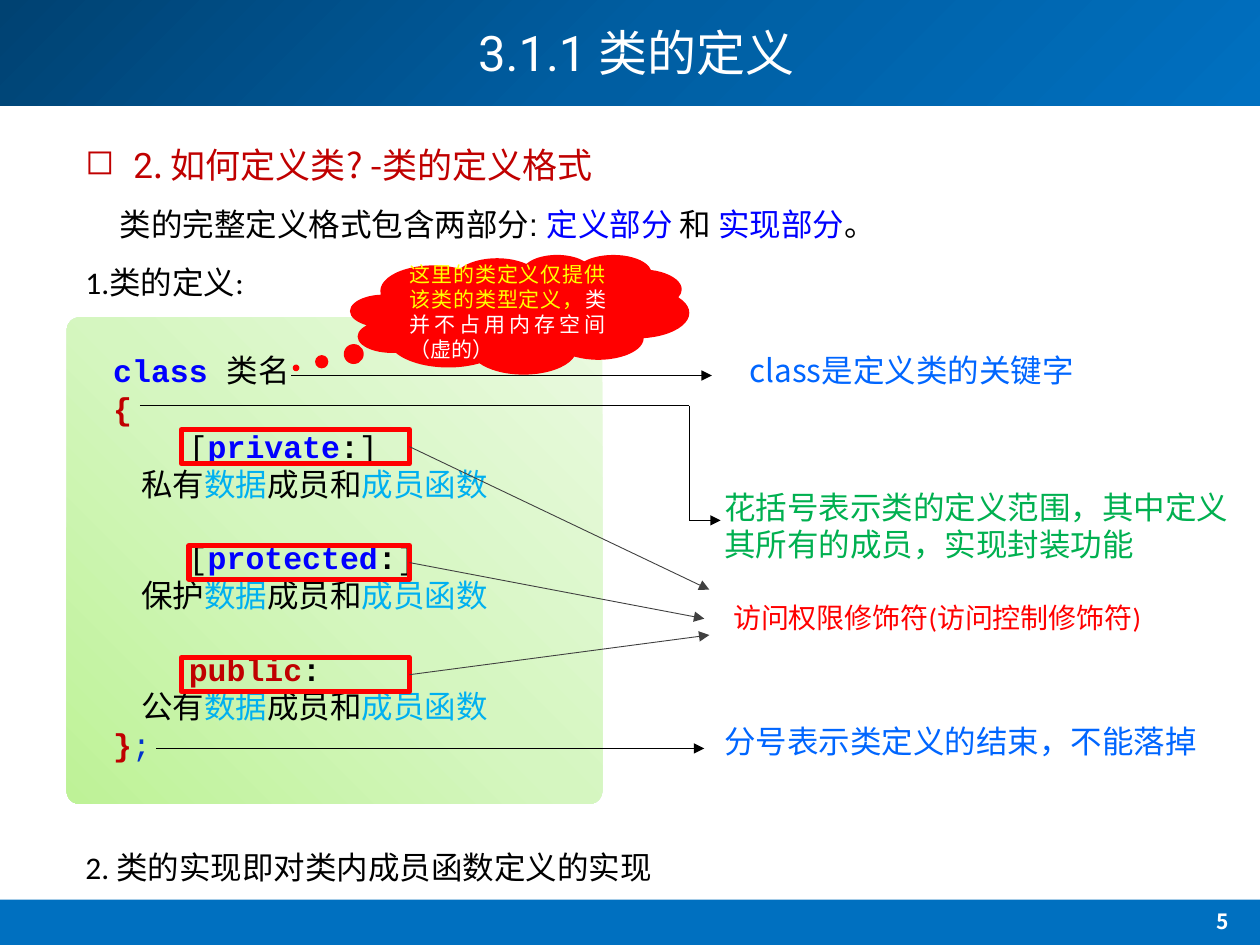
from lxml import etree
from pptx import Presentation
from pptx.dml.color import RGBColor
from pptx.enum.shapes import MSO_CONNECTOR, MSO_SHAPE
from pptx.enum.text import MSO_ANCHOR, PP_ALIGN
from pptx.oxml import parse_xml
from pptx.oxml.ns import nsdecls, qn
from pptx.util import Inches, Pt

STRAIGHT = MSO_CONNECTOR.STRAIGHT
RECT, ROUND, CLOUD = MSO_SHAPE.RECTANGLE, MSO_SHAPE.ROUNDED_RECTANGLE, MSO_SHAPE.CLOUD_CALLOUT
TOP, MIDDLE = MSO_ANCHOR.TOP, MSO_ANCHOR.MIDDLE
LEFT, CENTER, JUSTIFY = PP_ALIGN.LEFT, PP_ALIGN.CENTER, PP_ALIGN.JUSTIFY

HAN, ROBOTO, ARIAL, CALIBRI, MONO = (
    "Noto Sans CJK SC", "Roboto", "Arial", "Calibri", "Courier New")
BLACK, WHITE, GRAY, RED, CRIMSON = "000000", "FFFFFF", "404040", "FF0000", "C00000"
BLUE, SKY, AZURE, NAVY, SEA = "0000FF", "00B0F0", "0066FF", "0033CC", "0070C0"
GREEN, YELLOW = "00B050", "FFFF00"


def tint(code):
    return RGBColor.from_string(code)


class Board:
    """Style and current slide, measured on a grid of 100 columns and 75 rows."""

    def __init__(self, deck):
        self.slide = deck.slides.add_slide(deck.slide_layouts[6])
        self.col = deck.slide_width / 100
        self.row = deck.slide_height / 75

    def place(self, *spots):
        units = (self.col, self.row) * 2
        return [round(spot * unit) for spot, unit in zip(spots, units)]

    def shape(self, kind, box, fill=None, line=None, adjust=()):
        shape = self.slide.shapes.add_shape(kind, *self.place(*box))
        shape.shadow.inherit = False
        for index, value in enumerate(adjust):
            shape.adjustments[index] = value
        if fill:
            shape.fill.solid()
            shape.fill.fore_color.rgb = tint(fill)
        else:
            shape.fill.background()
        if line:
            shape.line.color.rgb = tint(line)
            shape.line.width = Pt(3)
        else:
            shape.line.fill.background()
        return shape

    def blend(self, shape, shades, course):
        stops = "".join(
            f'<a:gs pos="{index * 50000}"><a:srgbClr val="{shade}"/></a:gs>'
            for index, shade in enumerate(shades))
        props = shape.element.spPr
        props.replace(props.find(qn("a:noFill")), parse_xml(
            f'<a:gradFill {nsdecls("a")}><a:gsLst>{stops}</a:gsLst>{course}</a:gradFill>'))

    def spell(self, para, spans, size, font=HAN, align=LEFT):
        para.alignment = align
        for words, color, *extra in spans:
            run = para.add_run()
            run.text = words
            run.font.size = Pt(size)
            run.font.color.rgb = tint(color)
            run.font.bold = True in extra
            run.font.name = next((item for item in extra if item is not True), font)
            face = etree.SubElement(run.font._element, qn("a:ea"))
            face.set("typeface", HAN)

    def text(self, box, spans, size=18, font=HAN, align=LEFT, anchor=TOP, wrap=True):
        frame = self.slide.shapes.add_textbox(*self.place(*box)).text_frame
        frame.word_wrap = wrap
        frame.vertical_anchor = anchor
        self.spell(frame.paragraphs[0], spans, size, font, align)
        return frame

    def bullet(self, para, mark, indent):
        props = para._p.get_or_add_pPr()
        props.set("marL", str(Inches(indent)))
        props.set("indent", str(-Inches(indent)))
        etree.SubElement(props, qn("a:buChar")).set("char", mark)

    def line(self, start, end, color=BLACK, width=0.75, arrow=True, source=None):
        link = self.slide.shapes.add_connector(STRAIGHT, *self.place(*start), *self.place(*end))
        if source:
            link.begin_connect(source, 3)
        link.line.color.rgb = tint(color)
        link.line.width = Pt(width)
        props = link.element.spPr
        if arrow:
            etree.SubElement(props.find(qn("a:ln")), qn("a:tailEnd")).set("type", "triangle")
        etree.SubElement(props, qn("a:effectLst"))


def member(scope):
    return [(f"    {scope}", BLACK), ("数据", SKY), ("成员和", BLACK), ("成员函数", SKY)]


def guarded(word):
    return [("    [", BLACK), (word, BLUE, True), (":", BLACK, True), ("]", BLACK)]


def frame_page(board):
    head = board.shape(RECT, (0, 0, 100, 8.4))
    board.blend(head, ("004272", "005EA2", SEA), '<a:lin ang="2700000" scaled="1"/>')
    board.shape(RECT, (0, 71.4, 100, 3.6), SEA)
    board.text((92.3, 71.6, 9.5, 3.6), [("5", WHITE, True)], 12, align=CENTER)
    title = board.text((8.5, 0, 84, 8.9), [("3.1.1 ", WHITE, ROBOTO), ("类的定义", WHITE)],
                       28, align=CENTER, anchor=MIDDLE)
    title.paragraphs[0].line_spacing = 0.9


def add_lead(board):
    topic = board.text((5.8, 10.9, 78.2, 4.4), [
        ("2", CRIMSON, ROBOTO), (". 如何定义类? -类的定义格式", CRIMSON)], 20)
    board.bullet(topic.paragraphs[0], "◻", 0.38)
    parts = board.text((8.5, 14.3, 88.8, 5.6), [
        ("类的完整定义格式包含两部分: ", BLACK), ("定义部分 ", BLUE, HAN), ("和 ", BLACK),
        ("实现部分", BLUE, HAN), ("。", BLACK)], font=ARIAL)
    parts.paragraphs[0].line_spacing = 1.5
    for top, words in ((20.4, "1.类的定义:"), (66.8, "2. 类的实现即对类内成员函数定义的实现")):
        board.text((5.8, top, 65, 4), [(words, BLACK)], font=CALIBRI)


def add_code(board):
    panel = board.shape(ROUND, (5.3, 25.2, 42.5, 38.6), adjust=(0.026,))
    board.blend(panel, ("BEF297", "D5F6C0", "EAFAE0"),
                '<a:path path="circle"><a:fillToRect t="100000" r="100000"/></a:path>')
    frame = board.text((8, 27.4, 38.9, 34.3),
                       [("class ", BLUE, True), ("类名", BLACK)], font=MONO)
    rows = [
        [("{", CRIMSON, True)],
        guarded("private"), member("私有"),
        guarded("protected"), member("保护"),
        [("    ", BLACK), ("public", CRIMSON, True), (":", BLACK, True)], member("公有"),
        [("}", CRIMSON, True), (";", NAVY)],
    ]
    for index, spans in enumerate(rows):
        para = frame.add_paragraph()
        if index in (3, 5):
            para.space_before = Pt(20.4)
        board.spell(para, spans, 18, MONO)


def add_notes(board):
    board.text((58.5, 27.4, 28.5, 4), [("class是定义类的关键字", AZURE)], wrap=False)
    board.text((56.5, 38.2, 42.6, 7.1),
               [("花括号表示类的定义范围，其中定义其所有的成员，实现封装功能", GREEN)])
    board.text((56.5, 56.8, 39.9, 4), [("分号表示类定义的结束，不能落掉", AZURE)], wrap=False)
    board.text((57.2, 47.2, 34.8, 3.7), [("访问权限修饰符(访问控制修饰符)", RED)], 16, CALIBRI)


def add_links(board):
    board.line((23.1, 29.8), (56.5, 29.8))
    bends = [(11.1, 32.2), (54.7, 32.2), (54.7, 41.3), (57.2, 41.3)]
    for start, end in zip(bends, bends[1:]):
        board.line(start, end, arrow=end == bends[-1])
    board.line((12.4, 59.4), (55.9, 59.4))
    cloud = board.shape(CLOUD, (27.8, 20.2, 26.9, 9.5), RED, adjust=(-0.66, 0.447))
    cloud.text_frame.vertical_anchor = MIDDLE
    board.spell(cloud.text_frame.paragraphs[0], [
        ("这里的类定义仅提供该类的类型定义，", YELLOW),
        ("类并不占用内存空间（虚的）", WHITE)], 12, align=JUSTIFY)
    right = 32.5
    for left, top, end in ((14.4, 34.1, (56.3, 46.8)), (15, 43.3, (55.9, 49.1)),
                           (14.4, 52.2, (56.3, 50.4))):
        box = board.shape(RECT, (left, top, right - left, 2.7), line=RED)
        board.line((right, top + 1.35), end, GRAY, 0.5, source=box)


def main():
    deck = Presentation()
    deck.slide_width, deck.slide_height = Inches(10), Inches(7.5)
    board = Board(deck)
    frame_page(board)
    add_lead(board)
    add_code(board)
    add_notes(board)
    add_links(board)
    deck.save("out.pptx")


if __name__ == "__main__":
    main()
